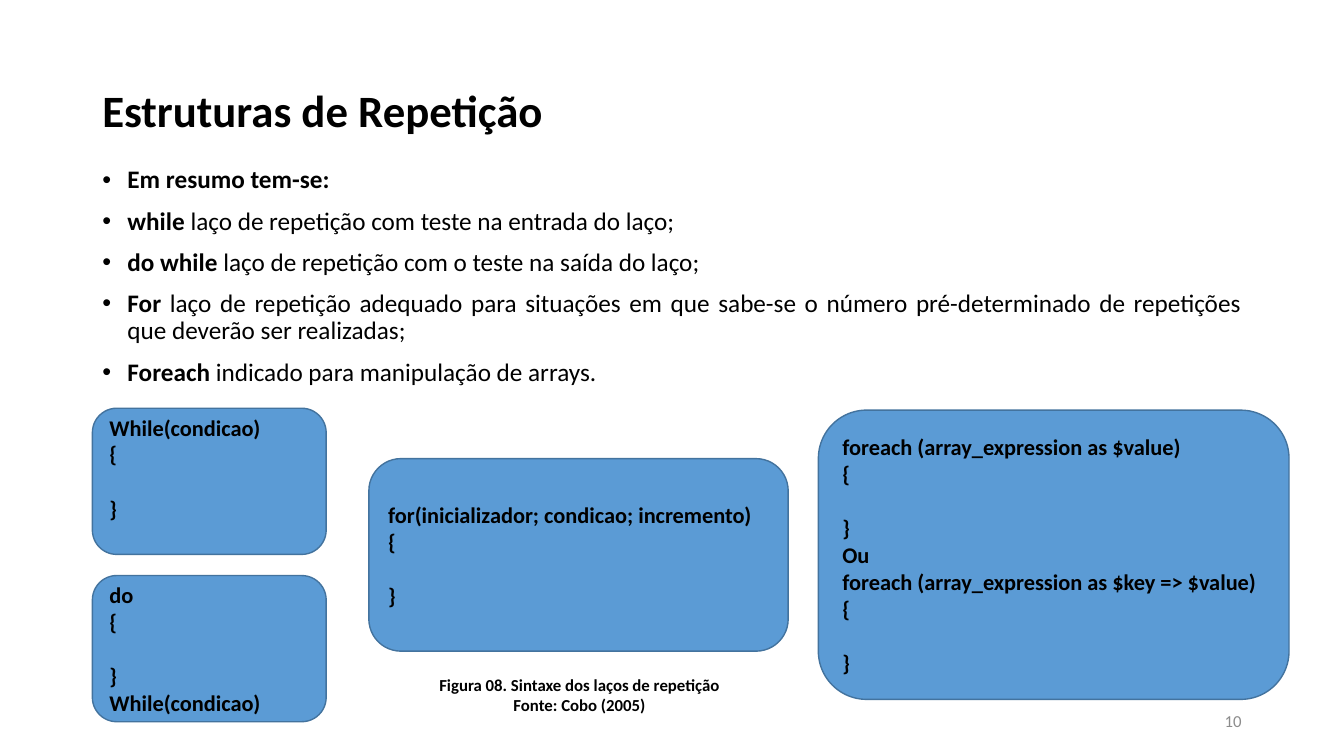
import pptx
import pptx.util
import pptx.dml.color
import pptx.enum.shapes
import pptx.enum.text
import pptx.oxml
import pptx.oxml.ns

Pt = pptx.util.Pt
Align = pptx.enum.text.PP_ALIGN
Anchor = pptx.enum.text.MSO_ANCHOR


def color(code):
    return pptx.dml.color.RGBColor.from_string(code)


def write(para, text, size, bold=True, code="000000"):
    run = para.add_run()
    run.text = text
    run.font.name = "Calibri"
    run.font.size = Pt(size)
    run.font.bold = bold
    run.font.color.rgb = color(code)


deck = pptx.Presentation()
deck.slide_width = Pt(960)
deck.slide_height = Pt(540)
slide = deck.slides.add_slide(deck.slide_layouts[6])

frames = []
for left, top, width, height, anchor in [
    (66, 28.8, 828, 104.4, Anchor.MIDDLE),
    (66, 115.9, 828, 342.7, Anchor.TOP),
    (182.9, 478.1, 462.2, 36, Anchor.TOP),
    (678, 500.5, 216, 28.8, Anchor.MIDDLE),
]:
    box = slide.shapes.add_textbox(Pt(left), Pt(top), Pt(width), Pt(height))
    box.text_frame.word_wrap = True
    box.text_frame.vertical_anchor = anchor
    frames.append(box.text_frame)
title, body, legend, number = frames

para = title.paragraphs[0]
para.line_spacing = 0.9
write(para, "Estruturas de Repetição", 32)

points = [
    ("Em resumo tem-se:", ""),
    ("while ", "laço de repetição com teste na entrada do laço;"),
    ("do while ", "laço de repetição com o teste na saída do laço;"),
    ("For ", "laço de repetição adequado para situações em que sabe-se o número "
     "pré-determinado de repetições que deverão ser realizadas;"),
    ("Foreach ", "indicado para manipulação de arrays."),
]
for index, (term, detail) in enumerate(points):
    para = body.add_paragraph() if index else body.paragraphs[0]
    para.alignment = Align.JUSTIFY
    para.line_spacing = 0.9
    para.space_before = Pt(10)
    props = para._p.get_or_add_pPr()
    props.set("marL", str(Pt(18)))
    props.set("indent", str(Pt(-18)))
    for tag, key, value in [("a:buFont", "typeface", "Arial"), ("a:buChar", "char", "•")]:
        mark = pptx.oxml.parse_xml(f'<{tag} {pptx.oxml.ns.nsdecls("a")} {key}="{value}"/>')
        props.append(mark)
    write(para, term, 18)
    if detail:
        write(para, detail, 18, False)

line = 19.5
loops = [
    (66, 291.6, 167, 104.4, line, ["While(condicao)", "{", "}"]),
    (66, 411.1, 167, 104.4, 0, ["do", "{", "}", "While(condicao)"]),
    (263.5, 327.6, 299.5, 137.5, 0, ["for(inicializador; condicao; incremento)", "{", "}"]),
    (584.6, 293, 336.2, 206.6, 0, [
        "foreach (array_expression as $value)", "{", "}", "Ou",
        "foreach (array_expression as $key => $value)", "{", "}"]),
]
for left, top, width, height, extra, code in loops:
    card = slide.shapes.add_shape(
        pptx.enum.shapes.MSO_SHAPE.ROUNDED_RECTANGLE,
        Pt(left), Pt(top), Pt(width), Pt(height))
    card.shadow.inherit = False
    card.fill.solid()
    card.fill.fore_color.rgb = color("5B9BD5")
    card.line.color.rgb = color("43739E")
    card.line.width = Pt(1)
    frame = card.text_frame
    frame.word_wrap = True
    frame.vertical_anchor = Anchor.MIDDLE
    frame.margin_bottom = Pt(3.6 + extra)
    for index, text in enumerate(code):
        para = frame.add_paragraph() if index else frame.paragraphs[0]
        para.alignment = Align.LEFT
        if text == "}":
            para.space_before = Pt(line)
        write(para, text, 16)

for index, text in enumerate(["Figura 08. Sintaxe dos laços de repetição", "Fonte: Cobo (2005)"]):
    para = legend.add_paragraph() if index else legend.paragraphs[0]
    para.alignment = Align.CENTER
    write(para, text, 12)

para = number.paragraphs[0]
para.alignment = Align.RIGHT
write(para, "10", 12, False, "8C8C8C")

deck.save("out.pptx")
